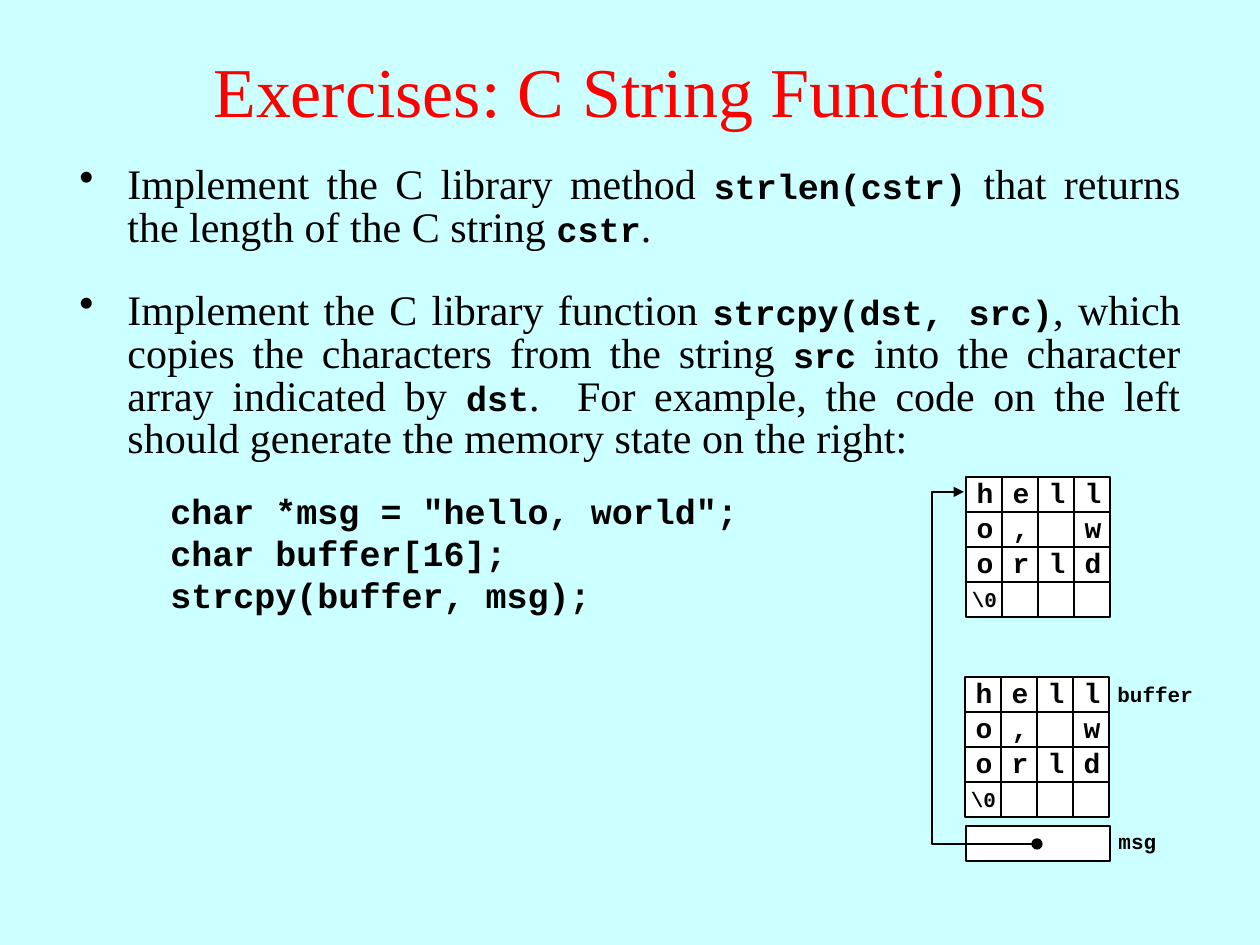
import pptx
import pptx.util
import pptx.dml.color
import pptx.enum.shapes
import pptx.enum.text
import pptx.oxml.ns
from lxml import etree

SCALE = 914400 / 126
SERIF = "Times New Roman"
MONO = "Courier New"
ALIGN = pptx.enum.text.PP_ALIGN
KIND = pptx.enum.shapes.MSO_SHAPE
LINK = pptx.enum.shapes.MSO_CONNECTOR
BLACK = "000000"
CELL_W, CELL_H = 36, 35
ROWS = ["hell", "o, w", "orld", ["\\0"]]
TASKS = [
    ((67, 159, 1126, 103),
     "Implement the C library method `strlen(cstr)` that returns "
     "the length of the C string `cstr`."),
    ((67, 285, 1126, 188),
     "Implement the C library function `strcpy(dst, src)`, which copies "
     "the characters from the string `src` into the character array "
     "indicated by `dst`.  For example, the code on the left should "
     "generate the memory state on the right:"),
]
CODE = 'char *msg = "hello, world";\nchar buffer[16];\nstrcpy(buffer, msg);'


def px(size):
    return pptx.util.Emu(round(size * SCALE))


def color(code):
    return pptx.dml.color.RGBColor.from_string(code)


def add_tag(parent, tag, attrs=None):
    return etree.SubElement(parent, pptx.oxml.ns.qn(tag), attrs or {})


def style(font, face, size, tone=BLACK, bold=False):
    font.name = face
    font.size = pptx.util.Pt(size)
    font.bold = bold
    font.color.rgb = color(tone)


def add_frame(slide, at, wrap=False):
    frame = slide.shapes.add_textbox(*map(px, at)).text_frame
    frame.word_wrap = wrap
    return frame


def add_code(slide, at, text, size, align=ALIGN.LEFT):
    frame = add_frame(slide, at)
    frame.text = text
    for para in frame.paragraphs:
        para.alignment = align
        for run in para.runs:
            style(run.font, MONO, size, bold=True)


def add_title(slide, text):
    frame = add_frame(slide, (0, 10, 1260, 158), True)
    frame.vertical_anchor = pptx.enum.text.MSO_ANCHOR.MIDDLE
    para = frame.paragraphs[0]
    para.text = text
    para.alignment = ALIGN.CENTER
    style(para.runs[0].font, SERIF, 40, "FF0000")


def add_task(slide, at, text):
    para = add_frame(slide, at, True).paragraphs[0]
    props = para._p.get_or_add_pPr()
    props.set("marL", str(px(48)))
    props.set("indent", str(-px(48)))
    add_tag(props, "a:buFontTx")
    add_tag(props, "a:buChar", {"char": "•"})
    para.alignment = ALIGN.JUSTIFY
    para.line_spacing = 0.85
    for i, part in enumerate(text.split("`")):
        run = para.add_run()
        run.text = part
        if i % 2:
            style(run.font, MONO, 20, bold=True)
        else:
            style(run.font, SERIF, 24)


def add_box(slide, kind, at, fill):
    box = slide.shapes.add_shape(kind, *map(px, at))
    box.shadow.inherit = False
    box.fill.solid()
    box.fill.fore_color.rgb = color(fill)
    box.line.color.rgb = color(BLACK)
    box.line.width = pptx.util.Pt(0.75)
    return box


def add_line(slide, kind, start, end):
    line = slide.shapes.add_connector(kind, *map(px, start + end))
    line.line.color.rgb = color(BLACK)
    line.line.width = pptx.util.Pt(0.75)
    add_tag(line._element.spPr, "a:effectLst")
    return line


def add_word(slide, left, top):
    return add_box(slide, KIND.RECTANGLE,
                   (left, top, 4 * CELL_W, CELL_H), "FFFFFF")


def add_grid(slide, left, top):
    for row, chars in enumerate(ROWS):
        y = top + row * CELL_H
        word = add_word(slide, left, y)
        for col in range(1, 4):
            x = left + col * CELL_W
            line = add_line(slide, LINK.STRAIGHT, (x, y), (x, y + CELL_H))
            if col == 2:
                line.begin_connect(word, 0)
                line.end_connect(word, 2)
        for col, char in enumerate(chars):
            x = left + col * CELL_W
            if len(char) > 1:
                add_code(slide, (x - 8, y - 2, 53, 38), char, 12, ALIGN.CENTER)
            elif char != " ":
                add_code(slide, (x - 2, y - 8, 42, 47), char, 16, ALIGN.CENTER)


def add_arrow(slide, start, end, bend):
    line = add_line(slide, LINK.ELBOW, start, end)
    geom = line._element.spPr.find(pptx.oxml.ns.qn("a:prstGeom"))
    guides = geom.find(pptx.oxml.ns.qn("a:avLst"))
    ratio = (start[0] - bend) / (start[0] - end[0])
    add_tag(guides, "a:gd",
            {"name": "adj1", "fmla": f"val {round(ratio * 100000)}"})
    add_tag(line.line._get_or_add_ln(), "a:tailEnd", {"type": "triangle"})


def main():
    deck = pptx.Presentation()
    deck.slide_width, deck.slide_height = px(1260), px(945)
    slide = deck.slides.add_slide(deck.slide_layouts[6])
    slide.background.fill.solid()
    slide.background.fill.fore_color.rgb = color("CCFFFF")
    add_title(slide, "Exercises: C String Functions")
    for at, text in TASKS:
        add_task(slide, at, text)
    add_code(slide, (158, 483, 620, 140), CODE, 20)
    add_grid(slide, 966, 477)
    add_grid(slide, 965, 677)
    add_word(slide, 966, 826)
    add_code(slide, (1105, 675, 102, 38), "buffer", 12)
    add_code(slide, (1106, 822, 81, 38), "msg", 12)
    add_box(slide, KIND.OVAL, (1032, 839, 10, 10), BLACK)
    add_arrow(slide, (1032, 844), (964, 492), 932)
    deck.save("out.pptx")


if __name__ == "__main__":
    main()
